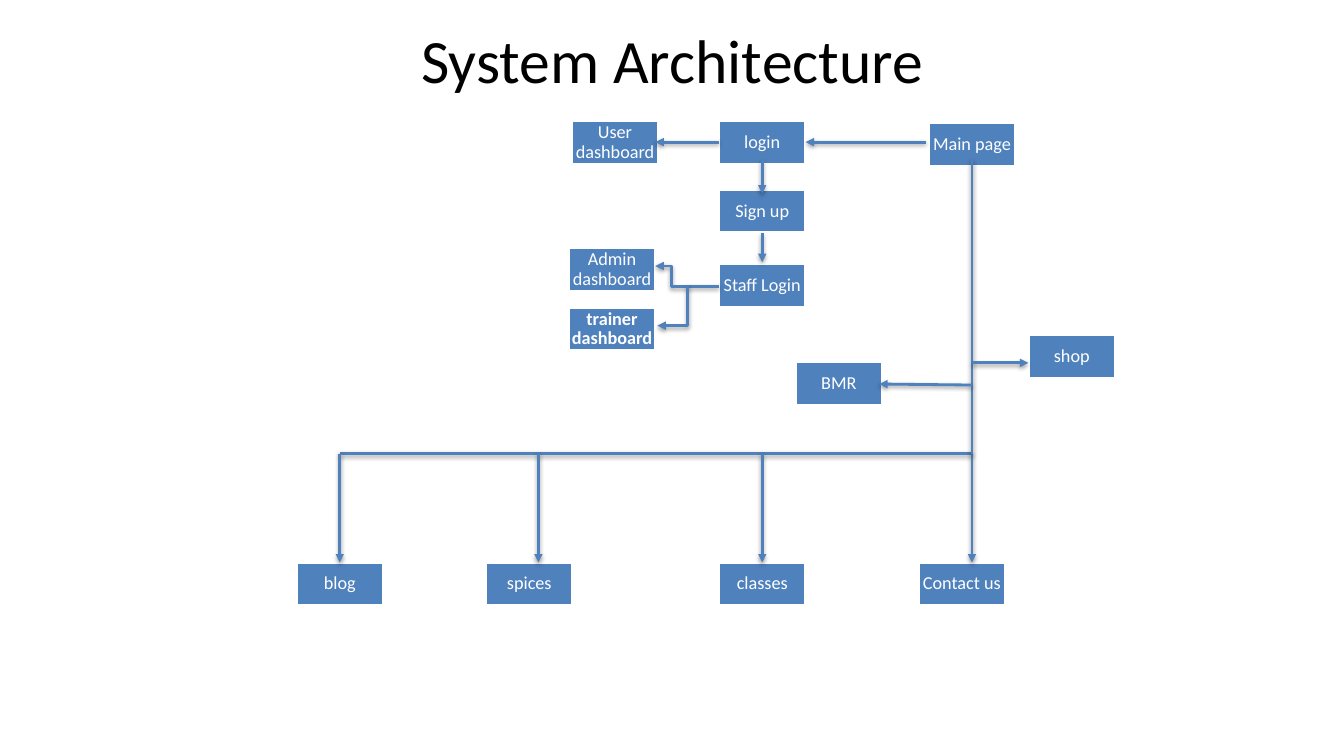
from pptx import Presentation
from pptx.dml.color import RGBColor
from pptx.enum.shapes import MSO_CONNECTOR, MSO_SHAPE
from pptx.enum.text import MSO_ANCHOR, PP_ALIGN
from pptx.oxml import parse_xml
from pptx.oxml.ns import nsdecls, qn
from pptx.util import Inches, Pt

BLUE = RGBColor(0x4F, 0x81, 0xBD)
WHITE = RGBColor(0xFF, 0xFF, 0xFF)
BLACK = RGBColor(0x00, 0x00, 0x00)
WIDE, HIGH = 0.86, 0.43
BUS, TRUNK = 4.5, 9.64  # height of the lower bar, x of the main line

SHADOW = (
    f'<a:effectLst {nsdecls("a")}><a:outerShdw blurRad="40000" dist="20000" '
    'dir="5400000" rotWithShape="0"><a:srgbClr val="000000">'
    '<a:alpha val="38000"/></a:srgbClr></a:outerShdw></a:effectLst>'
)


def write(shape, text, size, color, inset):
    """Set one centred paragraph in the shape."""
    frame = shape.text_frame
    frame.word_wrap = True
    frame.vertical_anchor = MSO_ANCHOR.MIDDLE
    frame.margin_left = frame.margin_right = Inches(inset)
    frame.margin_top = frame.margin_bottom = Inches(inset)
    frame.text = text
    para = frame.paragraphs[0]
    para.alignment = PP_ALIGN.CENTER
    font = para.runs[0].font
    font.name, font.size = "Calibri", Pt(size)
    font.color.rgb = color
    return para


def link(x1, y1, x2, y2, head=True, kind=MSO_CONNECTOR.STRAIGHT):
    """Draw a shadowed connector, with an arrowhead at its end if asked."""
    line = slide.shapes.add_connector(
        kind, Inches(x1), Inches(y1), Inches(x2), Inches(y2))
    line.line.color.rgb = BLUE
    line.line.width = Pt(2)
    if head:
        line.line._get_or_add_ln().append(
            parse_xml(f'<a:tailEnd {nsdecls("a")} type="triangle"/>'))
    line._element.spPr.append(parse_xml(SHADOW))
    return line


deck = Presentation()
deck.slide_width, deck.slide_height = Inches(13.33), Inches(7.5)
slide = deck.slides.add_slide(deck.slide_layouts[6])

title = slide.shapes.add_textbox(
    Inches(0.67), Inches(0.15), Inches(12), Inches(0.87))
write(title, "System Architecture", 44, BLACK, 0.05)

# Pages of the site: label, left, top
pages = [
    ("login", 7.13, 1.2),
    ("Main page", 9.21, 1.22),
    ("BMR", 7.89, 3.59),
    ("spices", 4.82, 5.58),
    ("Sign up", 7.13, 1.88),
    ("blog", 2.94, 5.58),
    ("Contact us", 9.11, 5.58),
    ("classes", 7.13, 5.58),
    ("Admin dashboard", 5.64, 2.46),
    ("User dashboard", 5.67, 1.2),
    ("trainer dashboard", 5.64, 3.05),
    ("shop", 10.2, 3.32),
    ("Staff Login", 7.13, 2.62),
]
for label, left, top in pages:
    box = slide.shapes.add_shape(
        MSO_SHAPE.RECTANGLE, Inches(left), Inches(top), Inches(WIDE), Inches(HIGH))
    box.shadow.inherit = False
    box.fill.solid()
    box.fill.fore_color.rgb = BLUE
    box.line.color.rgb = WHITE
    box.line.width = Pt(2)
    para = write(box, label, 13, WHITE, 0.01)
    para.line_spacing = 0.9
    para.runs[0].font.bold = label == "trainer dashboard"

# Lower bar with its four drops, and the main line
link(TRUNK, BUS, 3.37, BUS, head=False)
for x in (3.37, 5.34, 7.56, TRUNK):
    link(x, BUS, x, 5.58)
link(TRUNK, BUS, TRUNK, 1.59, head=False)

# Side arrows and the login chain
for ends in [
    (TRUNK, 3.6, 10.2, 3.6),
    (TRUNK, 3.82, 8.72, 3.81),
    (9.18, 1.41, 7.99, 1.41),
    (7.13, 1.41, 6.5, 1.41),
    (7.56, 1.59, 7.56, 1.92),
    (7.56, 2.31, 7.56, 2.6),
]:
    link(*ends)

# Staff login forks to the two dashboards
link(7.13, 2.84, 6.82, 2.84, head=False)
link(6.82, 2.84, 6.5, 2.64, kind=MSO_CONNECTOR.ELBOW)
fork = link(6.82, 2.84, 6.52, 3.23, kind=MSO_CONNECTOR.ELBOW)
bend = fork._element.spPr.find(qn("a:prstGeom")).get_or_add_avLst()
bend.append(parse_xml(f'<a:gd {nsdecls("a")} name="adj1" fmla="val 0"/>'))

deck.save("out.pptx")
